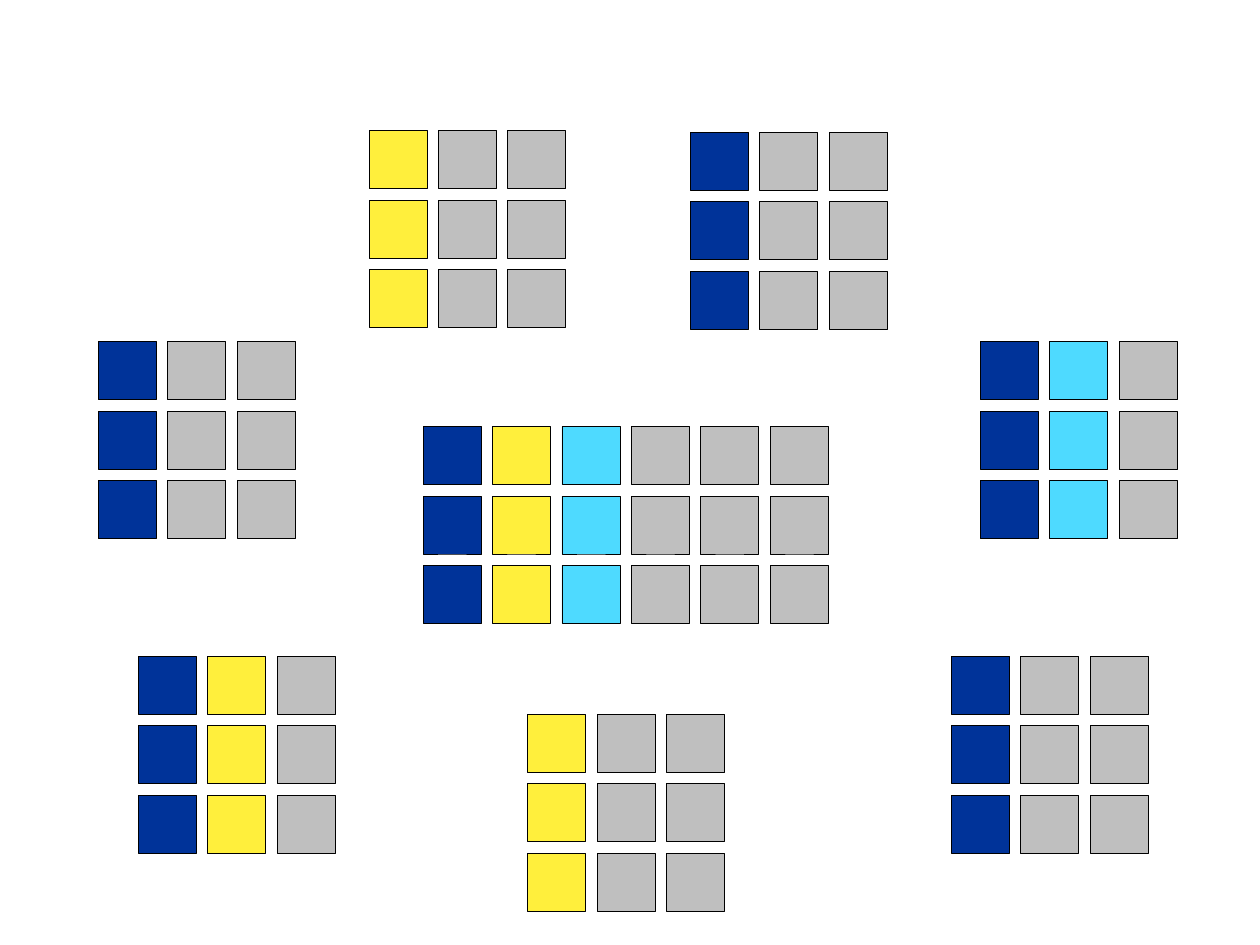
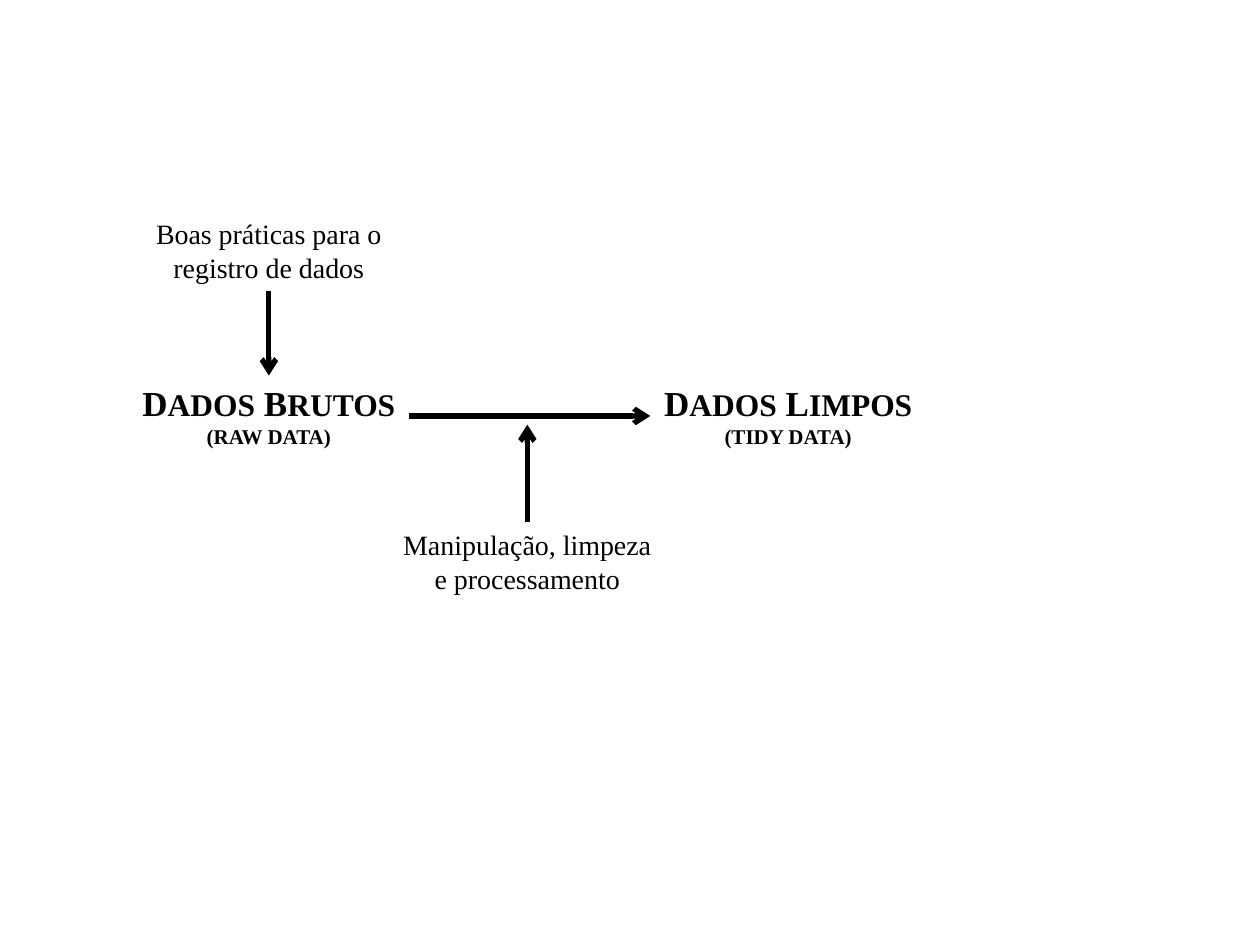
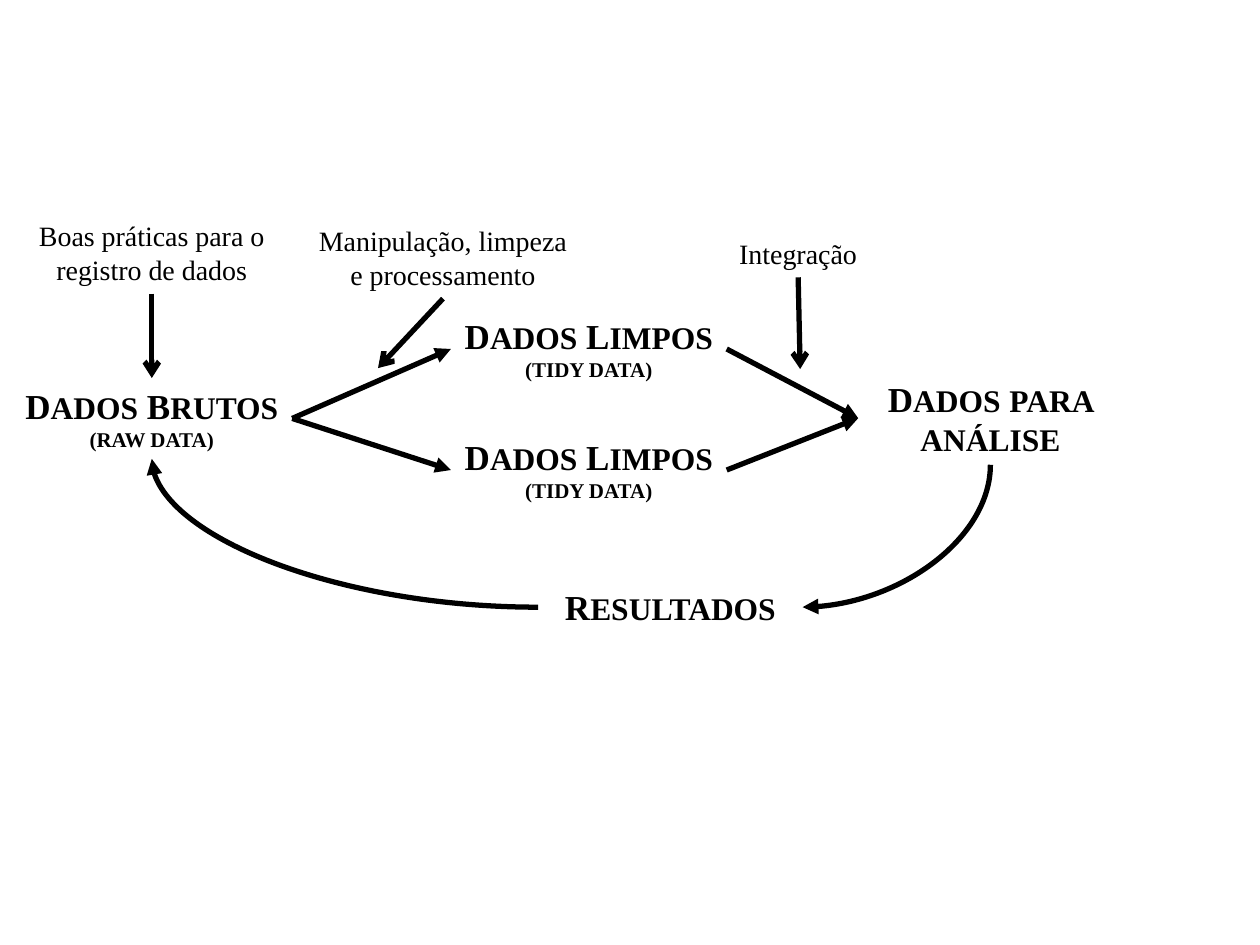
from dataclasses import dataclass
from itertools import cycle

from lxml import etree
from pptx import Presentation
from pptx.dml.color import RGBColor
from pptx.enum.shapes import MSO_CONNECTOR, MSO_SHAPE
from pptx.enum.text import MSO_AUTO_SIZE, PP_ALIGN
from pptx.oxml.ns import qn
from pptx.util import Cm, Pt

RECT = MSO_SHAPE.RECTANGLE
STRAIGHT, CURVE = MSO_CONNECTOR.STRAIGHT, MSO_CONNECTOR.CURVE
CENTER = PP_ALIGN.CENTER
GROW = MSO_AUTO_SIZE.SHAPE_TO_FIT_TEXT
TOP, LEFT, BOTTOM, RIGHT = range(4)


@dataclass(frozen=True)
class Theme:
    font: str = "Times New Roman"
    ink: str = "000000"
    blue: str = "003399"
    gold: str = "FFEF3C"
    cyan: str = "4EDAFF"
    gray: str = "BFBFBF"
    label: tuple = (16,)
    head: tuple = (20, 18)
    note: tuple = (12,)
    thin: float = 0.5
    thick: float = 3


THEME = Theme()
CELL, STEP, ROWS = 1.17, 1.4, 3
WIDE, TALL = 5.66, 1.63


def rgb(code):
    return RGBColor.from_string(code)


class Deck:
    def __init__(self, theme):
        self.theme = theme
        self.file = Presentation()
        self.file.slide_width, self.file.slide_height = Cm(25.4), Cm(19.05)

    def page(self):
        self.slide = self.file.slides.add_slide(self.file.slide_layouts[6])

    def group(self):
        self.art = self.slide.shapes.add_group_shape().shapes

    def cell(self, x, y, fill):
        box = self.art.add_shape(RECT, Cm(x), Cm(y), Cm(CELL), Cm(CELL))
        box.shadow.inherit = False
        box.fill.solid()
        box.fill.fore_color.rgb = rgb(fill)
        box.line.color.rgb = rgb(self.theme.ink)
        box.line.width = Pt(self.theme.thin)

    def grid(self, x, y, fills):
        """Draw a group with one column of cells for each fill."""
        self.group()
        for col, fill in enumerate(fills):
            for row in range(ROWS):
                self.cell(x + col * STEP, y + row * STEP, fill)

    def runs(self, para, text, sizes, bold=False):
        """Split text at bars into runs that take the sizes in turn."""
        para.alignment = CENTER
        for part, size in zip(text.split("|"), cycle(sizes)):
            run = para.add_run()
            run.text = part
            font = run.font
            font.name, font.size, font.bold = self.theme.font, Pt(size), bold
            font.color.rgb = rgb(self.theme.ink)

    def text(self, text, x, y, wide=WIDE, tall=TALL, sizes=None, bold=False, note=None):
        box = self.art.add_textbox(Cm(x), Cm(y), Cm(wide), Cm(tall))
        frame = box.text_frame
        frame.word_wrap = note is None
        frame.auto_size = GROW
        self.runs(frame.paragraphs[0], text, sizes or self.theme.label, bold)
        if note:
            self.runs(frame.add_paragraph(), note, self.theme.note, bold)
        return box

    def head(self, text, x, y, **form):
        return self.text(text, x, y, sizes=self.theme.head, bold=True, **form)

    def raw(self, x, y):
        return self.head("D|ADOS| B|RUTOS", x, y, note="(RAW DATA)")

    def tidy(self, x, y):
        return self.head("D|ADOS| L|IMPOS", x, y, wide=5.56, note="(TIDY DATA)")

    def good(self, x, y):
        return self.text("Boas práticas para o registro de dados", x, y)

    def clean(self, x, y):
        return self.text("Manipulação, limpeza e processamento", x, y)

    def arrow(self, start, side, end, port=None, tip="arrow", kind=STRAIGHT):
        """Join a box side to another box side, or to a point if port is None."""
        line = self.art.add_connector(kind, 0, 0, 0, 0)
        line.begin_connect(start, side)
        if port is None:
            line.end_x, line.end_y = Cm(end[0]), Cm(end[1])
        else:
            line.end_connect(end, port)
        line.line.color.rgb = rgb(self.theme.ink)
        line.line.width = Pt(self.theme.thick)
        props = line._element.spPr
        etree.SubElement(props.find(qn("a:ln")), qn("a:tailEnd"), type=tip)
        etree.SubElement(props, qn("a:effectLst"))
        return line

    def curve(self, start, side, end, port):
        """Draw a quarter bend; one that leaves downward is turned by 90 degrees."""
        line = self.arrow(start, side, end, port, tip="triangle", kind=CURVE)
        props = line._element.spPr
        props.find(qn("a:prstGeom")).set("prst", "curvedConnector2")
        frame = props.find(qn("a:xfrm"))
        for flip in ("flipH", "flipV"):
            frame.attrib.pop(flip, None)
        if side == BOTTOM:
            wide, tall = line.width, line.height
            shift = (wide - tall) // 2
            line.left, line.top = line.left + shift, line.top - shift
            line.width, line.height = tall, wide
            line.rotation = 90
        else:
            line.rotation = 180


def blocks(deck):
    blue, gold, cyan, gray = THEME.blue, THEME.gold, THEME.cyan, THEME.gray
    deck.page()
    deck.grid(8.53, 8.6, (blue, gold, cyan, gray, gray, gray))
    for x, y, one, two in (
        (1.98, 6.89, blue, gray),
        (13.92, 2.67, blue, gray),
        (2.79, 13.23, blue, gold),
        (19.18, 13.23, blue, gray),
        (10.64, 14.4, gold, gray),
        (7.44, 2.64, gold, gray),
        (19.76, 6.89, blue, cyan),
    ):
        deck.grid(x, y, (one, two, gray))


def basic(deck):
    deck.page()
    deck.group()
    raw = deck.raw(2.59, 7.57)
    tidy = deck.tidy(13.11, 7.57)
    good = deck.good(2.59, 4.24)
    clean = deck.clean(7.8, 10.52)
    deck.arrow(good, BOTTOM, raw, TOP)
    deck.arrow(raw, RIGHT, tidy, LEFT)
    deck.arrow(clean, TOP, (10.63, 8.56))


def full(deck):
    deck.page()
    deck.group()
    raw = deck.raw(0.23, 7.62)
    good = deck.good(0.23, 4.29)
    clean = deck.clean(6.1, 4.39)
    merge = deck.text("Integração", 13.26, 4.65, tall=0.94)
    study = deck.head("D|ADOS| |PARA ANÁLISE", 17.3, 7.49, wide=5.33, tall=1.88)
    result = deck.head("R|ESULTADOS", 10.85, 11.68, wide=5.33, tall=1.12)
    deck.arrow(good, BOTTOM, raw, TOP)
    deck.arrow(clean, BOTTOM, (7.62, 7.42))
    deck.arrow(merge, BOTTOM, (16.13, 7.44))
    for y in (6.22, 8.66):
        tidy = deck.tidy(9.09, y)
        deck.arrow(raw, RIGHT, tidy, LEFT, tip="triangle")
        deck.arrow(tidy, RIGHT, study, LEFT, tip="triangle")
    deck.curve(study, BOTTOM, result, RIGHT)
    deck.curve(result, LEFT, raw, BOTTOM)


def main():
    deck = Deck(THEME)
    blocks(deck)
    basic(deck)
    full(deck)
    deck.file.save("out.pptx")


if __name__ == "__main__":
    main()
